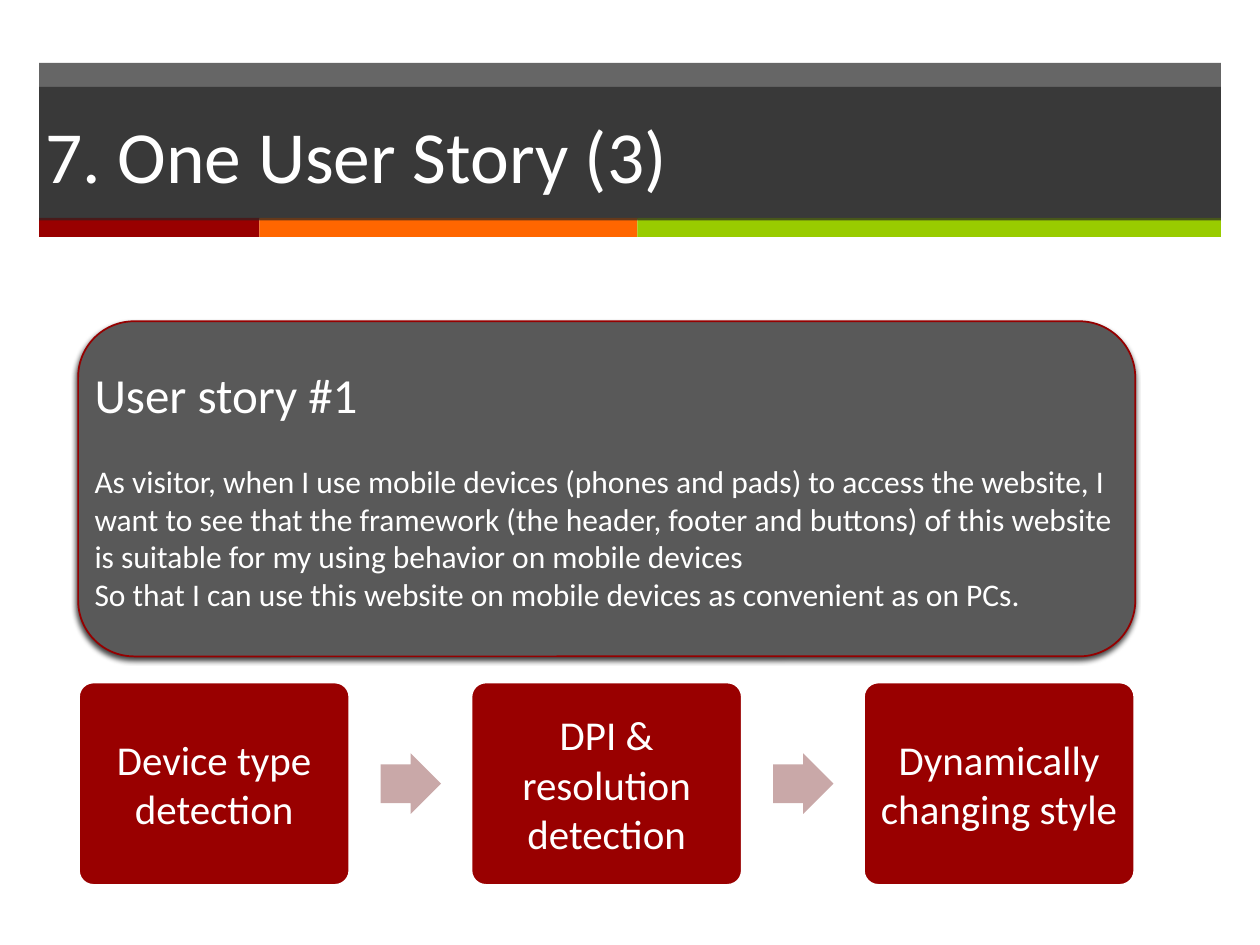
from lxml.etree import SubElement
from pptx import Presentation
from pptx.dml.color import RGBColor
from pptx.enum.shapes import MSO_SHAPE
from pptx.enum.text import MSO_ANCHOR, PP_ALIGN
from pptx.oxml.ns import qn
from pptx.util import Inches, Pt

TITLE = "7. One User Story (3)"
STORY_HEADING = "User story #1"
STORY_LINES = [
    "As visitor, when I use mobile devices (phones and pads) to access the website, "
    "I want to see that the framework (the header, footer and buttons) of this website "
    "is suitable for my using behavior on mobile devices",
    "So that I can use this website on mobile devices as convenient as on PCs.",
]
STEPS = ["Device type detection", "DPI & resolution detection", "Dynamically changing style"]
STRIPES = [("990000", 1.75), ("FF6600", 3), ("99CC00", 4.63)]  # colour, width

THEME = {
    "font": "Calibri", "text": "FFFFFF",
    "banner": "262626", "banner_opacity": 70,
    "card": "595959", "card_line": "950000",
    "step": "990000", "step_line": "FFFFFF", "arrow": "C9A8A8",
    "title_size": 42, "heading_size": 28, "body_size": 18, "step_size": 23.4,
}

BANNER_LEFT, BANNER_WIDTH = 0.31, 9.38
CONTENT_LEFT = 0.62
STEP_TOP, STEP_WIDTH, STEP_HEIGHT, STEP_PITCH = 5.41, 2.16, 1.62, 3.115
ARROW_SIZE, ARROW_OFFSET = 0.48, 2.4


def fill_solid(shape, color, opacity=100):
    shape.fill.solid()
    shape.fill.fore_color.rgb = RGBColor.from_string(color)
    if opacity < 100:
        srgb = shape.element.spPr.find(qn("a:solidFill")).find(qn("a:srgbClr"))
        SubElement(srgb, qn("a:alpha"), val=str(opacity * 1000))


def add_block(slide, kind, box, color, line=None, opacity=100):
    """Add a filled shape; line is an optional (colour, points) pair."""
    shape = slide.shapes.add_shape(kind, *map(Inches, box))
    shape.shadow.inherit = False
    fill_solid(shape, color, opacity)
    if line:
        shape.line.color.rgb = RGBColor.from_string(line[0])
        shape.line.width = Pt(line[1])
    else:
        shape.line.fill.background()
    return shape


def add_shadow(shape):
    effects = shape.element.spPr.find(qn("a:effectLst"))
    shadow = SubElement(effects, qn("a:outerShdw"), blurRad=str(Pt(3)), dist=str(Pt(2)),
                        dir=str(110 * 60000), rotWithShape="0")
    color = SubElement(shadow, qn("a:srgbClr"), val="000000")
    SubElement(color, qn("a:alpha"), val="75000")


def set_text(shape, lines, alignment, margin=0):
    """Write lines, each a (text, size, space before) tuple."""
    frame = shape.text_frame
    frame.word_wrap = True
    frame.vertical_anchor = MSO_ANCHOR.MIDDLE
    frame.margin_left = frame.margin_right = Inches(margin)
    frame.margin_top = frame.margin_bottom = Inches(margin)
    for index, (text, size, space_before) in enumerate(lines):
        paragraph = frame.add_paragraph() if index else frame.paragraphs[0]
        paragraph.text = text
        paragraph.alignment = alignment
        paragraph.space_before = Pt(space_before)
        paragraph.font.name = THEME["font"]
        paragraph.font.size = Pt(size)
        paragraph.font.color.rgb = RGBColor.from_string(THEME["text"])


def add_header(slide):
    add_block(slide, MSO_SHAPE.RECTANGLE, (BANNER_LEFT, 0.5, BANNER_WIDTH, 1.24),
              THEME["banner"], opacity=THEME["banner_opacity"])
    left = BANNER_LEFT
    for color, width in STRIPES:
        add_block(slide, MSO_SHAPE.RECTANGLE, (left, 1.73, width, 0.15), color)
        left += width

    title = slide.shapes.title
    title.left, title.top = Inches(BANNER_LEFT), Inches(0.69)
    title.width, title.height = Inches(BANNER_WIDTH), Inches(1.06)
    fill_solid(title, THEME["banner"], THEME["banner_opacity"])
    set_text(title, [(TITLE, THEME["title_size"], 0)], PP_ALIGN.LEFT, margin=0.05)
    title.element.getparent().append(title.element)  # in front of the banner


def add_story(slide):
    card = add_block(slide, MSO_SHAPE.ROUNDED_RECTANGLE, (CONTENT_LEFT, 2.55, 8.39, 2.66),
                     THEME["card"], (THEME["card_line"], 1))
    card.adjustments[0] = 0.167
    add_shadow(card)
    gaps = [22] + [0] * (len(STORY_LINES) - 1)
    body = [(text, THEME["body_size"], gap) for text, gap in zip(STORY_LINES, gaps)]
    set_text(card, [(STORY_HEADING, THEME["heading_size"], 0)] + body, PP_ALIGN.LEFT)


def add_steps(slide):
    arrow_top = STEP_TOP + (STEP_HEIGHT - ARROW_SIZE) / 2
    for index, text in enumerate(STEPS):
        left = CONTENT_LEFT + index * STEP_PITCH
        if index:
            arrow_left = left - STEP_PITCH + ARROW_OFFSET
            arrow = add_block(slide, MSO_SHAPE.RIGHT_ARROW,
                              (arrow_left, arrow_top, ARROW_SIZE, ARROW_SIZE), THEME["arrow"])
            arrow.adjustments[0] = 0.64
        step = add_block(slide, MSO_SHAPE.ROUNDED_RECTANGLE,
                         (left, STEP_TOP, STEP_WIDTH, STEP_HEIGHT),
                         THEME["step"], (THEME["step_line"], 2))
        step.adjustments[0] = 0.075
        set_text(step, [(text, THEME["step_size"], 0)], PP_ALIGN.CENTER)


def main():
    presentation = Presentation()
    presentation.slide_width, presentation.slide_height = Inches(10), Inches(7.5)
    slide = presentation.slides.add_slide(presentation.slide_layouts[5])
    add_header(slide)
    add_story(slide)
    add_steps(slide)
    presentation.save("out.pptx")


if __name__ == "__main__":
    main()
